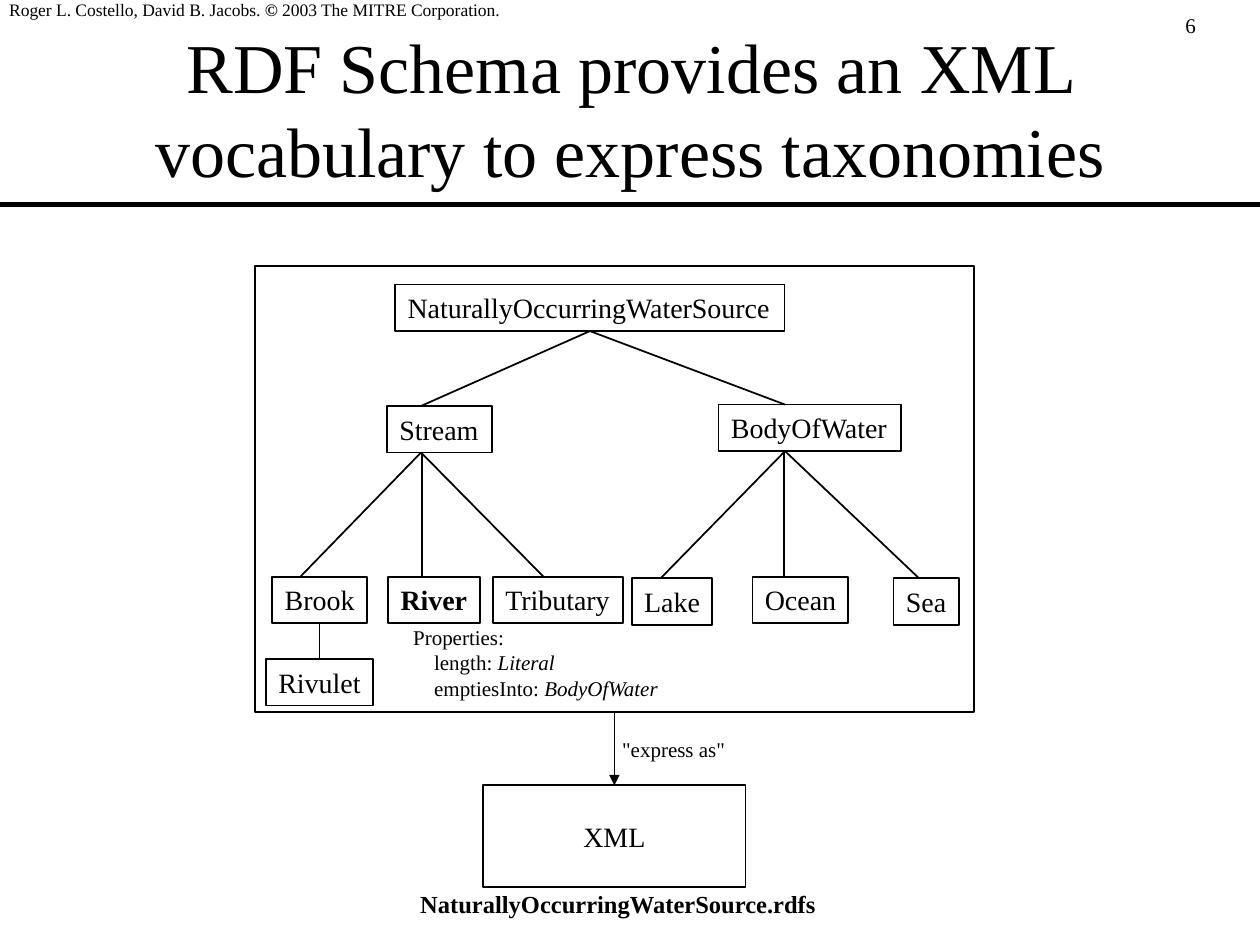
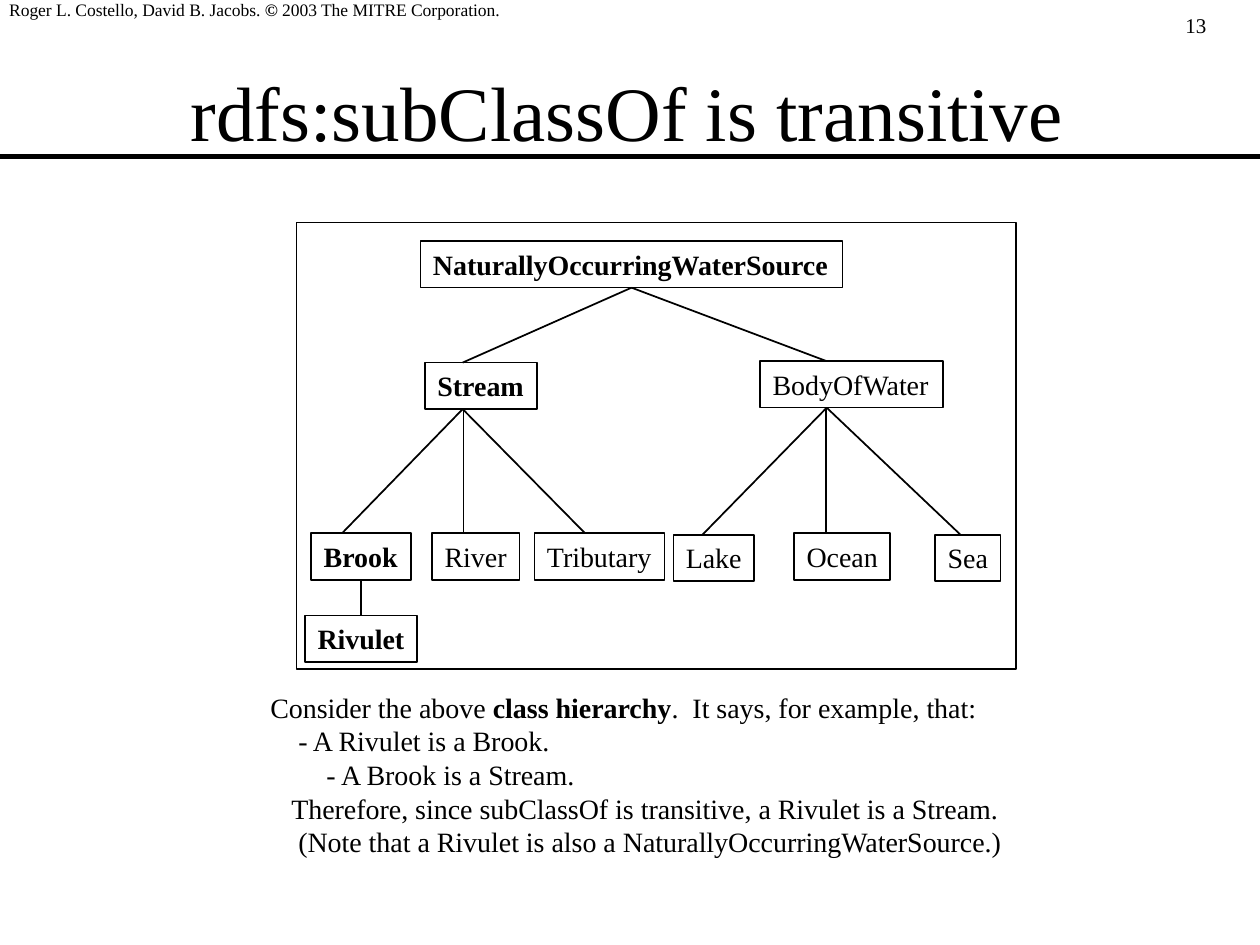
from lxml import etree
from pptx import Presentation
from pptx.dml.color import RGBColor
from pptx.enum.shapes import MSO_CONNECTOR, MSO_SHAPE
from pptx.enum.text import MSO_ANCHOR, PP_ALIGN
from pptx.oxml.ns import qn
from pptx.util import Pt

RECTANGLE = MSO_SHAPE.RECTANGLE
STRAIGHT = MSO_CONNECTOR.STRAIGHT
LEFT, CENTER = PP_ALIGN.LEFT, PP_ALIGN.CENTER
TOP, MIDDLE = MSO_ANCHOR.TOP, MSO_ANCHOR.MIDDLE
TOP_SIDE, BOTTOM_SIDE = 0, 2

COLORS = {"ink": "000000", "paper": "FFFFFF"}
FONT = "Times New Roman"
BOLD, ITALIC = {"bold": True}, {"italic": True}
SLIDE_WIDTH, SLIDE_HEIGHT = 720, 540
FRAME_WIDTH, FRAME_HEIGHT = 411, 255
CLASS_HEIGHT = 26.6

COPYRIGHT = [(0, [("Roger L. Costello, David B. Jacobs. ", {}), ("©", BOLD),
                  (" 2003 The MITRE Corporation.", {})])]

# name: centre, top, width, width in bold
CLASSES = {
    "NaturallyOccurringWaterSource": (191.5, 10.6, 222.5, 241.2),
    "Stream": (105.5, 80, 59.8, 64),
    "BodyOfWater": (317.2, 79.2, 104.4, 112),
    "Brook": (37, 177.6, 54, 57),
    "River": (102.5, 177.6, 49.8, 52.6),
    "Tributary": (173.2, 177.6, 74.2, 80),
    "Lake": (238.4, 178.4, 46, 50),
    "Ocean": (311.8, 177.6, 54.8, 58),
    "Sea": (383.7, 178.4, 37.4, 40),
    "Rivulet": (37, 224.6, 61.2, 64),
}
# parent, x on its bottom side, child, x on its top side
SUBCLASS_LINKS = [
    ("NaturallyOccurringWaterSource", 191.5, "Stream", 95),
    ("NaturallyOccurringWaterSource", 191.5, "BodyOfWater", 303),
    ("Stream", 95, "Brook", 26),
    ("Stream", 95.5, "River", 95.5),
    ("Stream", 95, "Tributary", 165),
    ("BodyOfWater", 303, "Lake", 232),
    ("BodyOfWater", 302.5, "Ocean", 302.5),
    ("BodyOfWater", 303, "Sea", 379.5),
    ("Brook", 37, "Rivulet", 37),
]

TAXONOMY = {
    "number": "6",
    "title": "RDF Schema provides an XML vocabulary to express taxonomies",
    "title_size": 40, "title_at": (54, 16.6), "rule_y": 116.8,
    "frame_at": (145.6, 152), "bold_classes": {"River"},
}
RIVER_PROPERTIES = [
    (0, [("Properties:", {})]),
    (12, [("length: ", {}), ("Literal", ITALIC)]),
    (12, [("emptiesInto: ", {}), ("BodyOfWater", ITALIC)]),
]

TRANSITIVITY = {
    "number": "13",
    "title": "rdfs:subClassOf is transitive",
    "title_size": 44, "title_at": (52.6, 18), "rule_y": 89.4,
    "frame_at": (169.4, 127.2),
    "bold_classes": {"NaturallyOccurringWaterSource", "Stream", "Brook", "Rivulet"},
}
REASONING = [
    (0, [("Consider the above ", {}), ("class hierarchy", BOLD),
         (".  It says, for example, that:", {})]),
    (16, [("- A Rivulet is a Brook.", {})]),
    (32, [("- A Brook is a Stream.", {})]),
    (12, [("Therefore, since subClassOf is transitive, a Rivulet is a Stream.", {})]),
    (16, [("(Note that a Rivulet is also a NaturallyOccurringWaterSource.)", {})]),
]


def color(name):
    return RGBColor.from_string(COLORS[name])


def plain(text, style=None):
    return [(0, [(text, style or {})])]


def write(shape, paragraphs, size, align=LEFT, anchor=TOP, wrap=True):
    frame = shape.text_frame
    layout = {"word_wrap": wrap, "vertical_anchor": anchor,
              "margin_left": Pt(7.2), "margin_right": Pt(7.2),
              "margin_top": Pt(3.6), "margin_bottom": Pt(3.6)}
    for name, value in layout.items():
        setattr(frame, name, value)
    for index, (indent, runs) in enumerate(paragraphs):
        paragraph = frame.add_paragraph() if index else frame.paragraphs[0]
        paragraph.alignment = align
        if indent:
            paragraph._p.get_or_add_pPr().set("marL", str(Pt(indent)))
        for text, style in runs:
            run = paragraph.add_run()
            run.text = text
            for name, value in {"name": FONT, "size": Pt(size), **style}.items():
                setattr(run.font, name, value)
            run.font.color.rgb = color("ink")


def add_text(slide, box, paragraphs, size, **layout):
    write(slide.shapes.add_textbox(*map(Pt, box)), paragraphs, size, **layout)


def add_box(slide, box, filled=False):
    shape = slide.shapes.add_shape(RECTANGLE, *map(Pt, box))
    shape.shadow.inherit = False
    if filled:
        shape.fill.solid()
        shape.fill.fore_color.rgb = color("paper")
    else:
        shape.fill.background()
    shape.line.color.rgb = color("ink")
    shape.line.width = Pt(1)
    return shape


def add_line(slide, start, end, width=1, arrow=False):
    line = slide.shapes.add_connector(STRAIGHT, *map(Pt, (*start, *end)))
    line.line.color.rgb = color("ink")
    line.line.width = Pt(width)
    if arrow:
        etree.SubElement(line.line._get_or_add_ln(), qn("a:tailEnd"), type="triangle")
    etree.SubElement(line._element.spPr, qn("a:effectLst"))
    return line


def add_hierarchy(slide, frame_at, bold_classes):
    left, top = frame_at
    frame = add_box(slide, (left, top, FRAME_WIDTH, FRAME_HEIGHT), filled=True)
    boxes = {}
    for name, (centre, offset, regular_width, bold_width) in CLASSES.items():
        bold = name in bold_classes
        width = bold_width if bold else regular_width
        boxes[name] = add_box(
            slide, (left + centre - width / 2, top + offset, width, CLASS_HEIGHT))
        write(boxes[name], plain(name, BOLD if bold else None), 16, wrap=False)
    for parent, start_x, child, end_x in SUBCLASS_LINKS:
        parent_centre, parent_top = CLASSES[parent][:2]
        child_centre, child_top = CLASSES[child][:2]
        link = add_line(slide, (left + start_x, top + parent_top + CLASS_HEIGHT),
                        (left + end_x, top + child_top))
        if start_x == parent_centre:
            link.begin_connect(boxes[parent], BOTTOM_SIDE)
        if end_x == child_centre:
            link.end_connect(boxes[child], TOP_SIDE)
    return frame


def add_slide(deck, content):
    slide = deck.slides.add_slide(deck.slide_layouts[6])
    slide.background.fill.solid()
    slide.background.fill.fore_color.rgb = color("paper")
    add_text(slide, (670.3, 3.6, 49, 21.6), plain(content["number"]), 12)
    add_text(slide, (-1.8, -4.3, 310, 19.4), COPYRIGHT, 10)
    add_text(slide, (*content["title_at"], 612, 90), plain(content["title"]),
             content["title_size"], align=CENTER, anchor=MIDDLE)
    rule_y = content["rule_y"]
    add_line(slide, (0, rule_y), (SLIDE_WIDTH, rule_y), width=3)
    frame = add_hierarchy(slide, content["frame_at"], content["bold_classes"])
    return slide, frame


def main():
    deck = Presentation()
    deck.slide_width, deck.slide_height = Pt(SLIDE_WIDTH), Pt(SLIDE_HEIGHT)

    slide, frame = add_slide(deck, TAXONOMY)
    add_text(slide, (229, 353.5, 170, 50.4), RIVER_PROPERTIES, 12)
    frame_left, frame_top = TAXONOMY["frame_at"]
    middle, frame_bottom = frame_left + FRAME_WIDTH / 2, frame_top + FRAME_HEIGHT
    xml_width, xml_top = 150, 448.8
    xml = add_box(slide, (middle - xml_width / 2, xml_top, xml_width, 58), filled=True)
    write(xml, plain("XML"), 16, align=CENTER, anchor=MIDDLE, wrap=False)
    express = add_line(slide, (middle, frame_bottom), (middle, xml_top), arrow=True)
    express.begin_connect(frame, BOTTOM_SIDE)
    express.end_connect(xml, TOP_SIDE)
    add_text(slide, (348.5, 417.6, 80, 21.6), plain('"express as"'), 12)
    add_text(slide, (233, 504.7, 250, 24.5),
             plain("NaturallyOccurringWaterSource.rdfs", BOLD), 14)

    slide, frame = add_slide(deck, TRANSITIVITY)
    add_text(slide, (147.4, 391, 437, 103.7), REASONING, 16)

    deck.save("out.pptx")


if __name__ == "__main__":
    main()
